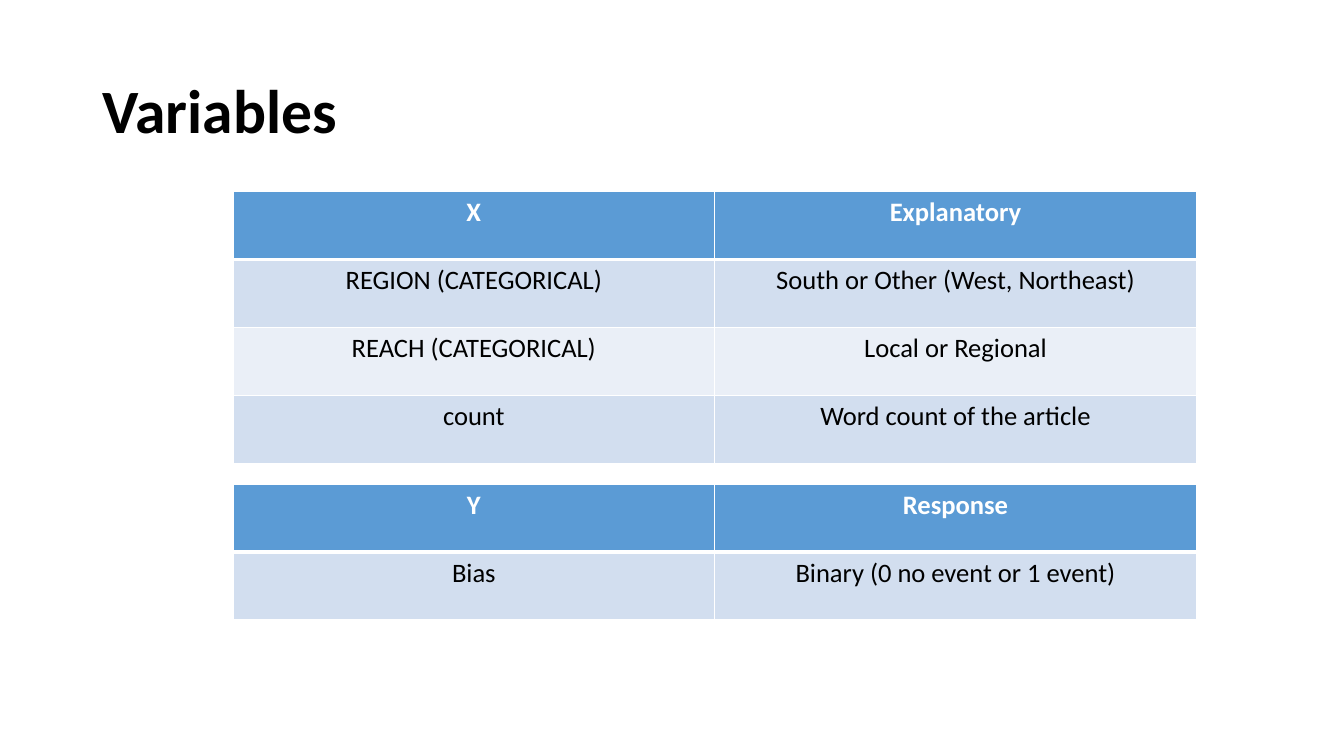
"""Build the Variables slide: a title above explanatory and response tables."""
from lxml import etree
from pptx import Presentation
from pptx.dml.color import RGBColor
from pptx.enum.text import MSO_ANCHOR, PP_ALIGN
from pptx.oxml.ns import qn
from pptx.util import Cm, Pt

LEFT, CENTER = PP_ALIGN.LEFT, PP_ALIGN.CENTER
MIDDLE = MSO_ANCHOR.MIDDLE

TITLE = "Variables"
EXPLANATORY = [
    ("X", "Explanatory"),
    ("REGION (CATEGORICAL)", "South or Other (West, Northeast)"),
    ("REACH (CATEGORICAL)", "Local or Regional"),
    ("count", "Word count of the article"),
]
RESPONSE = [
    ("Y", "Response"),
    ("Bias", "Binary (0 no event or 1 event)"),
]
COLORS = {
    "header": "5B9BD5",
    "odd": "D2DEEF",
    "even": "EAEFF7",
    "white": "FFFFFF",
    "black": "000000",
}
FONT = "Calibri"
TABLE_LEFT, COLUMN_WIDTH, ROW_HEIGHT = 5.87, 12.14, 1.71
EXPLANATORY_TOP, TABLE_GAP = 4.83, 0.53


def format_text(paragraph, size, color, bold, alignment):
    paragraph.alignment = alignment
    for run in paragraph.runs:
        run.font.name = FONT
        run.font.size = Pt(size)
        run.font.bold = bold
        run.font.color.rgb = RGBColor.from_string(COLORS[color])


def add_borders(cell, row):
    widths = {"L": 1, "R": 1, "T": 3 if row == 1 else 1, "B": 3 if row == 0 else 1}
    properties = cell._tc.get_or_add_tcPr()
    for side, width in widths.items():
        line = etree.SubElement(properties, qn(f"a:ln{side}"), w=str(Pt(width)))
        fill = etree.SubElement(line, qn("a:solidFill"))
        etree.SubElement(fill, qn("a:srgbClr"), val=COLORS["white"])


def add_variables(slide, variables, top):
    columns = len(variables[0])
    table = slide.shapes.add_table(
        len(variables), columns, Cm(TABLE_LEFT), Cm(top),
        Cm(columns * COLUMN_WIDTH), Cm(len(variables) * ROW_HEIGHT),
    ).table
    for row, entries in enumerate(variables):
        header = row == 0
        band = "header" if header else "odd" if row % 2 else "even"
        for column, entry in enumerate(entries):
            cell = table.cell(row, column)
            cell.text_frame.text = entry
            format_text(cell.text_frame.paragraphs[0], 19,
                        "white" if header else "black", header, CENTER)
            add_borders(cell, row)
            cell.fill.solid()
            cell.fill.fore_color.rgb = RGBColor.from_string(COLORS[band])


def main():
    presentation = Presentation()
    presentation.slide_width, presentation.slide_height = Cm(33.87), Cm(19.05)
    slide = presentation.slides.add_slide(presentation.slide_layouts[5])

    title = slide.shapes.title
    title.left, title.top = Cm(2.33), Cm(1.01)
    title.width, title.height = Cm(29.21), Cm(3.68)
    title.text_frame.text = TITLE
    title.text_frame.vertical_anchor = MIDDLE
    heading = title.text_frame.paragraphs[0]
    heading.line_spacing = 0.9
    format_text(heading, 44, "black", True, LEFT)

    top = EXPLANATORY_TOP
    for variables in (EXPLANATORY, RESPONSE):
        add_variables(slide, variables, top)
        top += len(variables) * ROW_HEIGHT + TABLE_GAP

    presentation.save("out.pptx")


if __name__ == "__main__":
    main()
